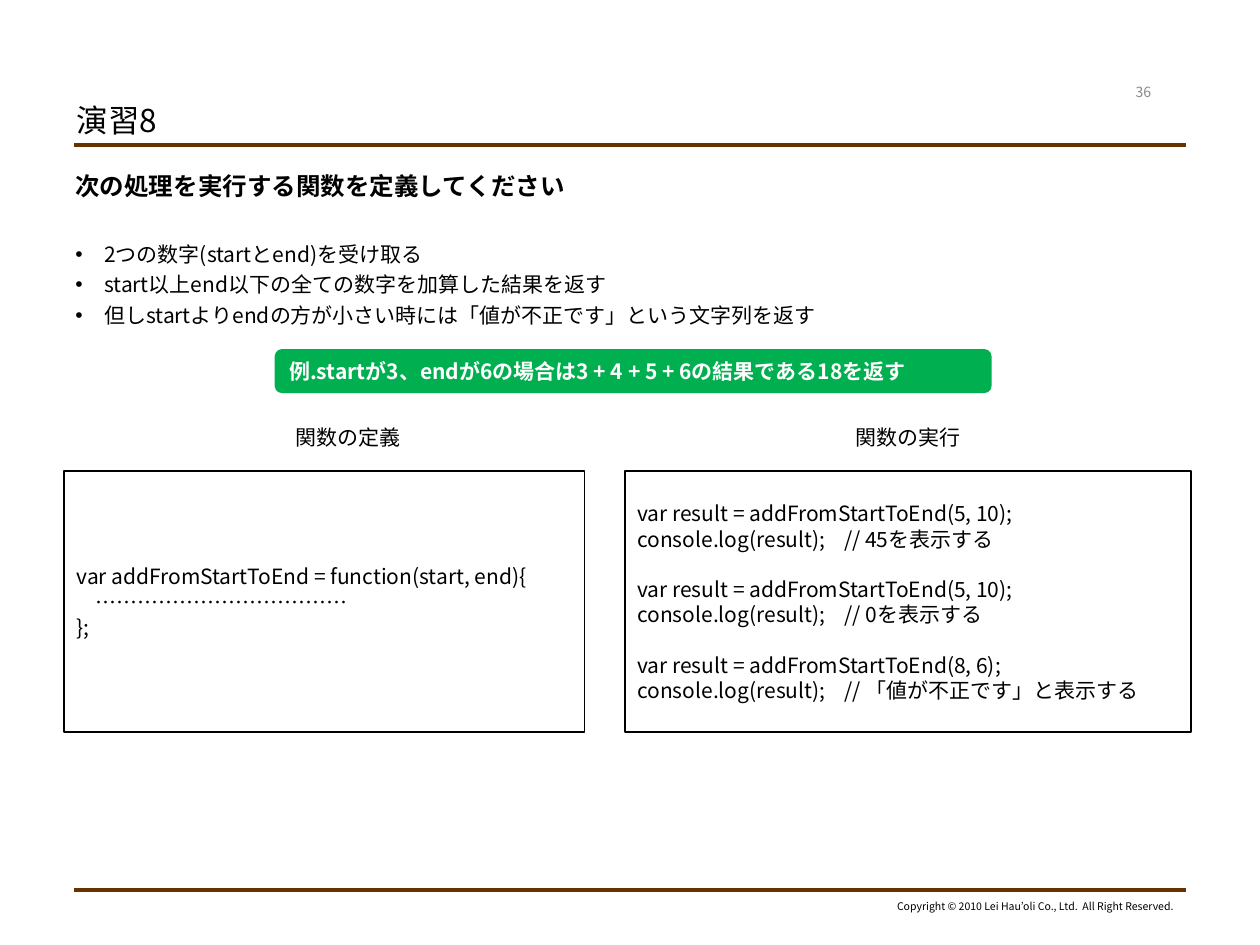
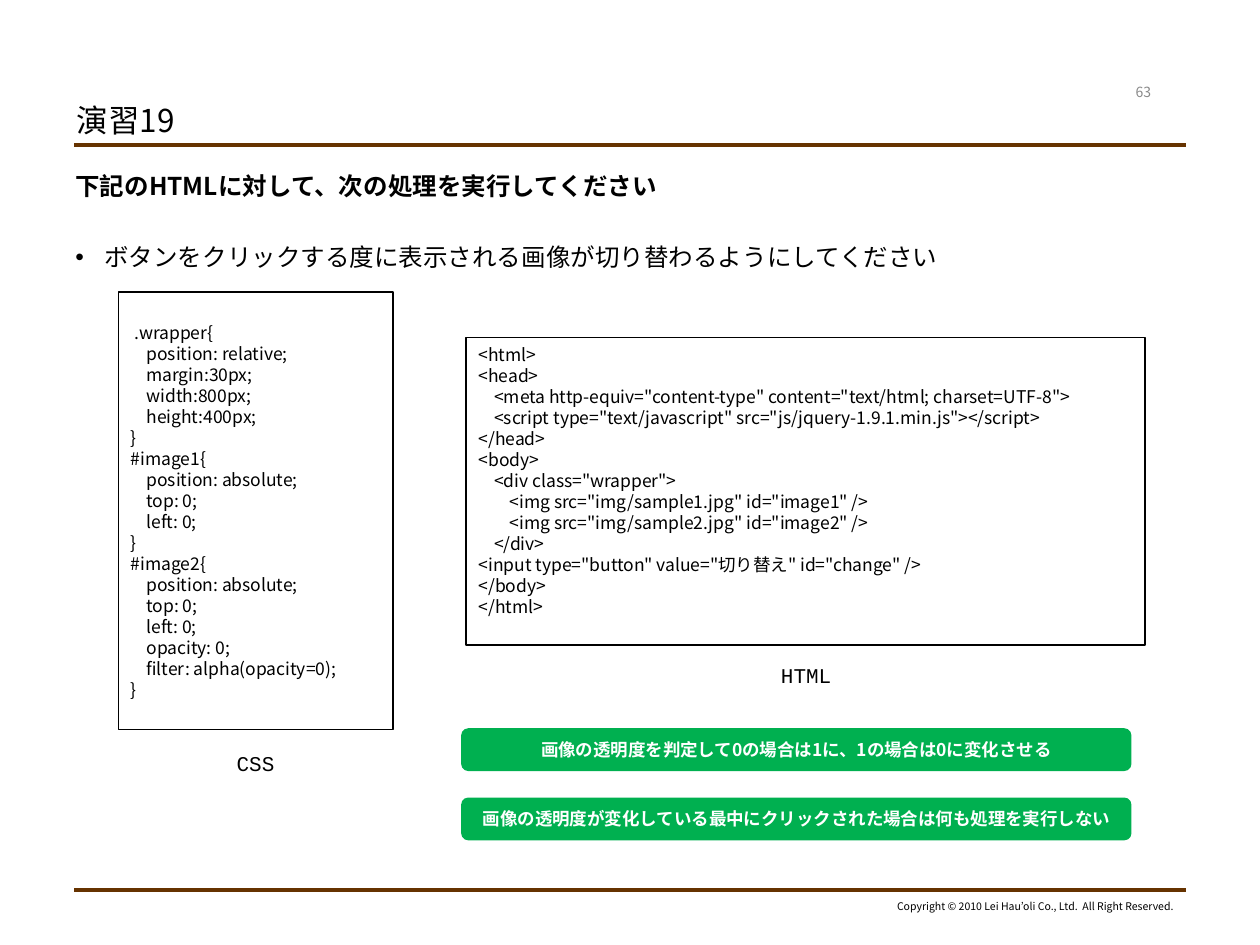
import pptx
import pptx.util
import pptx.dml.color
import pptx.enum.shapes
import pptx.enum.text
import pptx.oxml.ns
import lxml.etree

Inches = pptx.util.Inches
Pt = pptx.util.Pt
Shape = pptx.enum.shapes.MSO_SHAPE
Align = pptx.enum.text.PP_ALIGN
Anchor = pptx.enum.text.MSO_ANCHOR
qn = pptx.oxml.ns.qn

COLORS = {"ink": "000000", "rule": "663300", "page": "898989",
          "note": "00B050", "white": "FFFFFF"}
SANS = "Noto Sans CJK JP"
MONO = "Courier New"
LEADING = 1.2
RULES = (1.15, 7.06)
COPY = "Copyright © 2010 Lei Hau’oli Co., Ltd.  All Right Reserved."

DEFINE = """var addFromStartToEnd = function(start, end){
    ………………………………
};"""

CALLS = """var result = addFromStartToEnd(5, 10);
console.log(result);    // 45を表示する

var result = addFromStartToEnd(5, 10);
console.log(result);    // 0を表示する

var result = addFromStartToEnd(8, 6);
console.log(result);    // 「値が不正です」と表示する"""

CSS = """ .wrapper{
    position: relative;
    margin:30px;
    width:800px;
    height:400px;
}
#image1{
    position: absolute;
    top: 0;
    left: 0;
}
#image2{
    position: absolute;
    top: 0;
    left: 0;
    opacity: 0;
    filter: alpha(opacity=0);
}"""

HTML = """<html>
<head>
    <meta http-equiv="content-type" content="text/html; charset=UTF-8">
    <script type="text/javascript" src="js/jquery-1.9.1.min.js"></script>
</head>
<body>
    <div class="wrapper">
        <img src="img/sample1.jpg" id="image1" />
        <img src="img/sample2.jpg" id="image2" />
    </div>
<input type="button" value="切り替え" id="change" />
</body>
</html>"""

PAGES = [
    {"title": "演習8", "page": "36",
     "task": "次の処理を実行する関数を定義してください",
     "steps": ["2つの数字(startとend)を受け取る",
               "start以上end以下の全ての数字を加算した結果を返す",
               "但しstartよりendの方が小さい時には「値が不正です」という文字列を返す"],
     "size": 12, "code": 12,
     "blocks": [(DEFINE, (0.51, 3.74, 4.13, 2.07), 0.05),
                (CALLS, (4.96, 3.74, 4.49, 2.07), 0.05)],
     "labels": [("関数の定義", (2.25, 3.32, 1.03, 0.3)),
                ("関数の実行", (6.69, 3.32, 1.03, 0.3))],
     "notes": [("例.startが3、endが6の場合は3 + 4 + 5 + 6の結果である18を返す",
                (2.18, 2.77, 5.69, 0.35), 12, Align.LEFT)]},
    {"title": "演習19", "page": "63",
     "task": "下記のHTMLに対して、次の処理を実行してください",
     "steps": ["ボタンをクリックする度に表示される画像が切り替わるようにしてください"],
     "size": 14, "code": 10,
     "blocks": [(HTML, (3.7, 2.68, 5.39, 2.44), 0.22),
                (CSS, (0.94, 2.32, 2.18, 3.47), 0.05)],
     "labels": [("CSS", (1.78, 5.91, 0.5, 0.3)),
                ("HTML", (6.1, 5.21, 0.6, 0.3))],
     "notes": [("画像の透明度を判定して0の場合は1に、1の場合は0に変化させる",
                (3.66, 5.78, 5.32, 0.34), 10, Align.CENTER),
               ("画像の透明度が変化している最中にクリックされた場合は何も処理を実行しない",
                (3.66, 6.33, 5.32, 0.34), 10, Align.CENTER)]},
]


def tint(name):
    return pptx.dml.color.RGBColor.from_string(COLORS[name])


def write(para, text, size=12, font=SANS, color="ink", bold=False,
          align=Align.LEFT, before=0, bullet=False):
    if bullet:
        props = para._p.get_or_add_pPr()
        props.set("marL", str(Inches(0.23)))
        props.set("indent", str(-Inches(0.23)))
        lxml.etree.SubElement(props, qn("a:buFont"), typeface="Arial")
        lxml.etree.SubElement(props, qn("a:buChar"), char="•")
    para.alignment = align
    para.line_spacing = Pt(size * LEADING)
    para.space_before = Pt(before)
    run = para.add_run()
    run.text = text
    run.font.size = Pt(size)
    run.font.bold = bold
    run.font.color.rgb = tint(color)
    run.font.name = font
    lxml.etree.SubElement(run._r.get_or_add_rPr(), qn("a:ea"), typeface=SANS)


def frame(shape, anchor=Anchor.TOP, wrap=True, bottom=0.05):
    body = shape.text_frame
    body.word_wrap = wrap
    body.vertical_anchor = anchor
    body.margin_left = body.margin_right = Inches(0.1)
    body.margin_top = Inches(0.05)
    body.margin_bottom = Inches(bottom)
    return body


def label(slide, text, place, anchor=Anchor.TOP, wrap=False, **style):
    box = slide.shapes.add_textbox(*map(Inches, place))
    body = frame(box, anchor, wrap)
    write(body.paragraphs[0], text, **style)
    return body


def panel(slide, kind, place, fill=None, line=None, bottom=0.05):
    shape = slide.shapes.add_shape(kind, *map(Inches, place))
    shape.shadow.inherit = False
    if fill:
        shape.fill.solid()
        shape.fill.fore_color.rgb = tint(fill)
    else:
        shape.fill.background()
    if line:
        shape.line.color.rgb = tint(line)
        shape.line.width = Pt(1)
    else:
        shape.line.fill.background()
    return frame(shape, Anchor.MIDDLE, bottom=bottom)


def base(slide, page):
    for y in RULES:
        rule = slide.shapes.add_connector(
            pptx.enum.shapes.MSO_CONNECTOR.STRAIGHT,
            Inches(0.59), Inches(y), Inches(9.41), Inches(y))
        rule.line.color.rgb = tint("rule")
        rule.line.width = Pt(2.25)
        lxml.etree.SubElement(rule._element.spPr, qn("a:effectLst"))
    label(slide, COPY, (6.99, 7.09, 2.42, 0.2), size=6, align=Align.RIGHT)
    label(slide, page["title"], (0.51, 0.76, 5.68, 0.39),
          anchor=Anchor.MIDDLE, wrap=True, size=18)
    label(slide, page["page"], (8.78, 0.61, 0.59, 0.24), anchor=Anchor.MIDDLE,
          wrap=True, size=8, color="page", align=Align.CENTER)


def tasks(slide, page):
    body = label(slide, page["task"], (0.5, 1.31, 9, 5.59),
                 wrap=True, size=14, bold=True)
    size = page["size"]
    for i, step in enumerate(page["steps"]):
        gap = size / 4 + (0 if i else 20.3)
        write(body.add_paragraph(), step, size=size, before=gap, bullet=True)


def code(slide, text, place, bottom, size):
    body = panel(slide, Shape.RECTANGLE, place, line="ink", bottom=bottom)
    para = body.paragraphs[0]
    for g, group in enumerate(text.split("\n\n")):
        for i, row in enumerate(group.split("\n")):
            if g or i:
                para = body.add_paragraph()
            gap = size * LEADING if g and not i else 0
            write(para, row, size=size, before=gap)


def main():
    deck = pptx.Presentation()
    deck.slide_width, deck.slide_height = Inches(10), Inches(7.5)
    for page in PAGES:
        slide = deck.slides.add_slide(deck.slide_layouts[6])
        base(slide, page)
        tasks(slide, page)
        for text, place, bottom in page["blocks"]:
            code(slide, text, place, bottom, page["code"])
        for text, place in page["labels"]:
            label(slide, text, place, font=MONO)
        for text, place, size, align in page["notes"]:
            body = panel(slide, Shape.ROUNDED_RECTANGLE, place, fill="note")
            write(body.paragraphs[0], text, size=size, color="white",
                  bold=True, align=align)
    deck.save("out.pptx")


if __name__ == "__main__":
    main()
